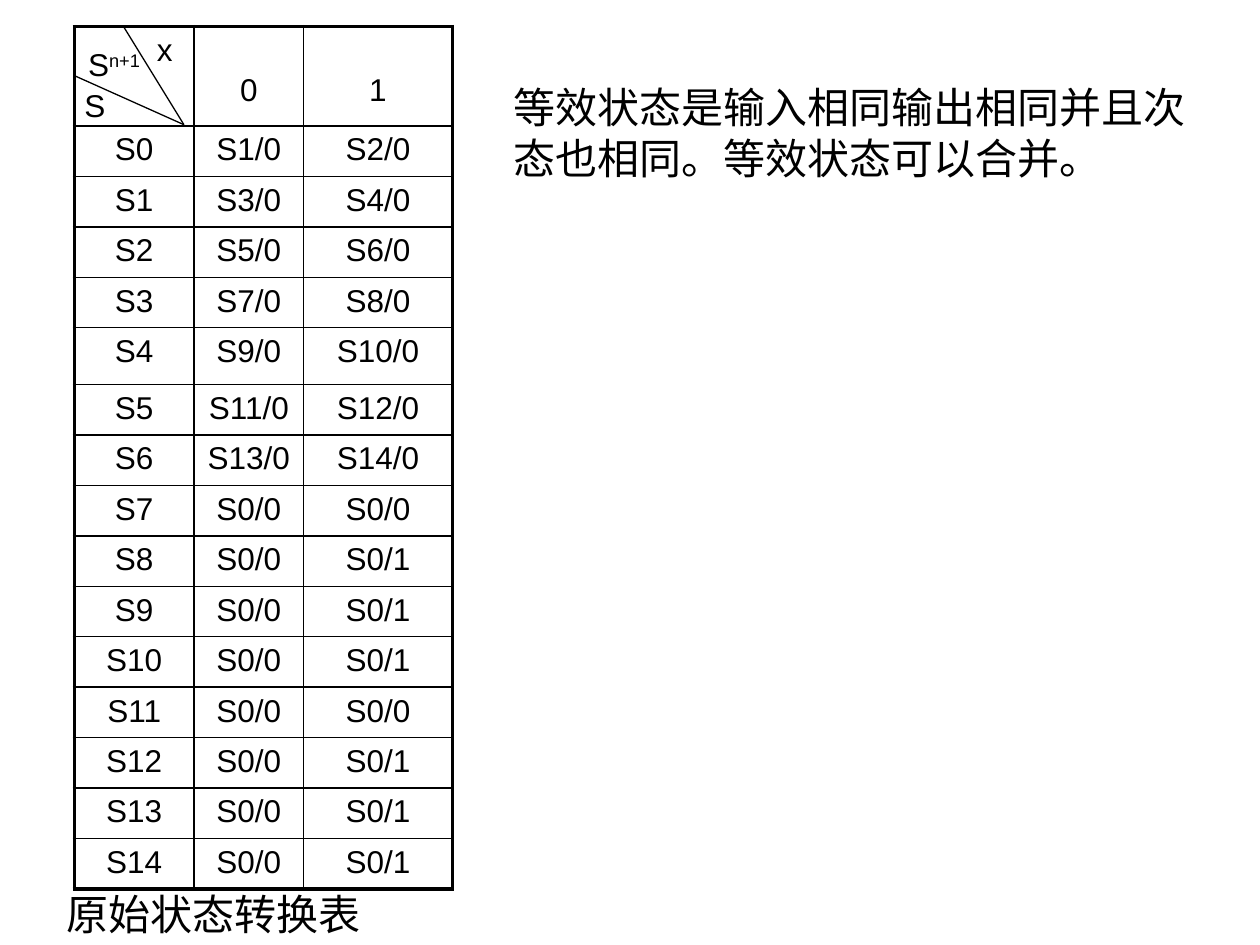
import pptx
import pptx.dml.color
import pptx.enum.shapes
import pptx.enum.text
import pptx.oxml.ns
import pptx.util
from dataclasses import dataclass
from lxml import etree

EMU_PER_PX = 9144  # 100 px to the inch
ALIGN = pptx.enum.text.PP_ALIGN


def px(length):
    return pptx.util.Emu(length * EMU_PER_PX)


@dataclass(frozen=True)
class Theme:
    font: str = "Arial"
    ink: str = "000000"
    paper: str = "FFFFFF"
    body_size: int = 24
    table_size: int = 18
    frame_line: float = 2.25
    grid_line: float = 1
    diagonal_line: float = 0.75


class SlideBuilder:
    def __init__(self, theme, slide):
        self.theme = theme
        self.slide = slide
        slide.background.fill.solid()
        slide.background.fill.fore_color.rgb = self.color(theme.paper)

    def color(self, value):
        return pptx.dml.color.RGBColor.from_string(value)

    def run(self, paragraph, text, size, baseline=0):
        run = paragraph.add_run()
        run.text = text
        run.font.name = self.theme.font
        run.font.size = pptx.util.Pt(size)
        run.font.color.rgb = self.color(self.theme.ink)
        if baseline:
            run._r.get_or_add_rPr().set("baseline", str(baseline * 1000))

    def text(self, left, top, width, height, runs, size, align=ALIGN.LEFT, inset=(10, 5)):
        """Place one paragraph; runs are (text, baseline percent) pairs."""
        box = self.slide.shapes.add_textbox(px(left), px(top), px(width), px(height))
        frame = box.text_frame
        frame.word_wrap = True
        frame.auto_size = pptx.enum.text.MSO_AUTO_SIZE.SHAPE_TO_FIT_TEXT
        frame.margin_left = frame.margin_right = px(inset[0])
        frame.margin_top = frame.margin_bottom = px(inset[1])
        paragraph = frame.paragraphs[0]
        paragraph.alignment = align
        for words, baseline in runs:
            self.run(paragraph, words, size, baseline)

    def line(self, start, end):
        connector = self.slide.shapes.add_connector(
            pptx.enum.shapes.MSO_CONNECTOR.STRAIGHT, *map(px, start + end))
        connector.line.color.rgb = self.color(self.theme.ink)
        connector.line.width = pptx.util.Pt(self.theme.diagonal_line)
        properties = connector._element.spPr
        etree.SubElement(properties, pptx.oxml.ns.qn("a:effectLst"))

    def border(self, cell, side, width):
        qn = pptx.oxml.ns.qn
        edge = etree.SubElement(cell._tc.get_or_add_tcPr(), qn(f"a:ln{side}"),
                                w=str(pptx.util.Pt(width)))
        fill = etree.SubElement(edge, qn("a:solidFill"))
        etree.SubElement(fill, qn("a:srgbClr"), val=self.theme.ink)

    def table(self, left, top, widths, heights, rows):
        """Draw a ruled grid with a heavier outer frame."""
        table = self.slide.shapes.add_table(
            len(heights), len(widths), px(left), px(top),
            px(sum(widths)), px(sum(heights))).table
        table.first_row = table.horz_banding = False
        for column, width in zip(table.columns, widths):
            column.width = px(width)
        for row, height in zip(table.rows, heights):
            row.height = px(height)

        last_row, last_column = len(heights) - 1, len(widths) - 1
        for r, values in enumerate(rows):
            for c, value in enumerate(values):
                cell = table.cell(r, c)
                outer = {"L": c == 0, "R": c == last_column,
                         "T": r == 0, "B": r == last_row}
                for side, is_outer in outer.items():
                    self.border(cell, side, self.theme.frame_line if is_outer
                                else self.theme.grid_line)
                cell.fill.background()
                cell.margin_left = cell.margin_right = px(10)
                cell.margin_top = cell.margin_bottom = px(5)
                paragraph = cell.text_frame.paragraphs[0]
                paragraph.alignment = ALIGN.CENTER
                self.run(paragraph, value, self.theme.table_size)
        return table


def state_rows():
    """Seven branching states, then eight that return to S0."""
    for state in range(15):
        if state < 7:
            yield f"S{state}", f"S{2 * state + 1}/0", f"S{2 * state + 2}/0"
        else:
            output = 0 if state in (7, 11) else 1
            yield f"S{state}", "S0/0", f"S0/{output}"


def main():
    theme = Theme()
    presentation = pptx.Presentation()
    presentation.slide_width, presentation.slide_height = px(1000), px(750)
    slide = presentation.slides.add_slide(presentation.slide_layouts[6])
    builder = SlideBuilder(theme, slide)

    # Caption below the table
    builder.text(43, 700, 268, 50, [("原始状态转换表", 0)], theme.body_size)

    # State transition table
    left, top, header_height = 59, 21, 79
    heights = [header_height] + [40] * 15
    heights[5] = 45
    transitions = builder.table(left, top, [95, 87, 118], heights,
                                [("x", "0", "1"), *state_rows()])

    # Header: input at the corner's right, its values near the bottom
    corner = transitions.cell(0, 0)
    corner.text_frame.paragraphs[0].alignment = ALIGN.RIGHT
    corner.margin_right = px(17)
    for column in (1, 2):
        transitions.cell(0, column).margin_top = px(37)

    # Corner diagonals and labels
    meeting_point = (146, top + header_height - 1)
    for start in ((left, 60), (98, top)):
        builder.line(start, meeting_point)
    corner_labels = [(36, 47, [("S", 0), ("n+1", 30)]), (68, 16, [("S", 0)])]
    for label_top, width, runs in corner_labels:
        builder.text(67, label_top, width, 30, runs, theme.table_size,
                     ALIGN.CENTER, inset=(0, 0))

    # Explanation of equivalent states
    builder.text(398, 60, 575, 90,
                 [("等效状态是输入相同输出相同并且次态也相同。等效状态可以合并。", 0)],
                 theme.body_size)

    presentation.save("out.pptx")


if __name__ == "__main__":
    main()
